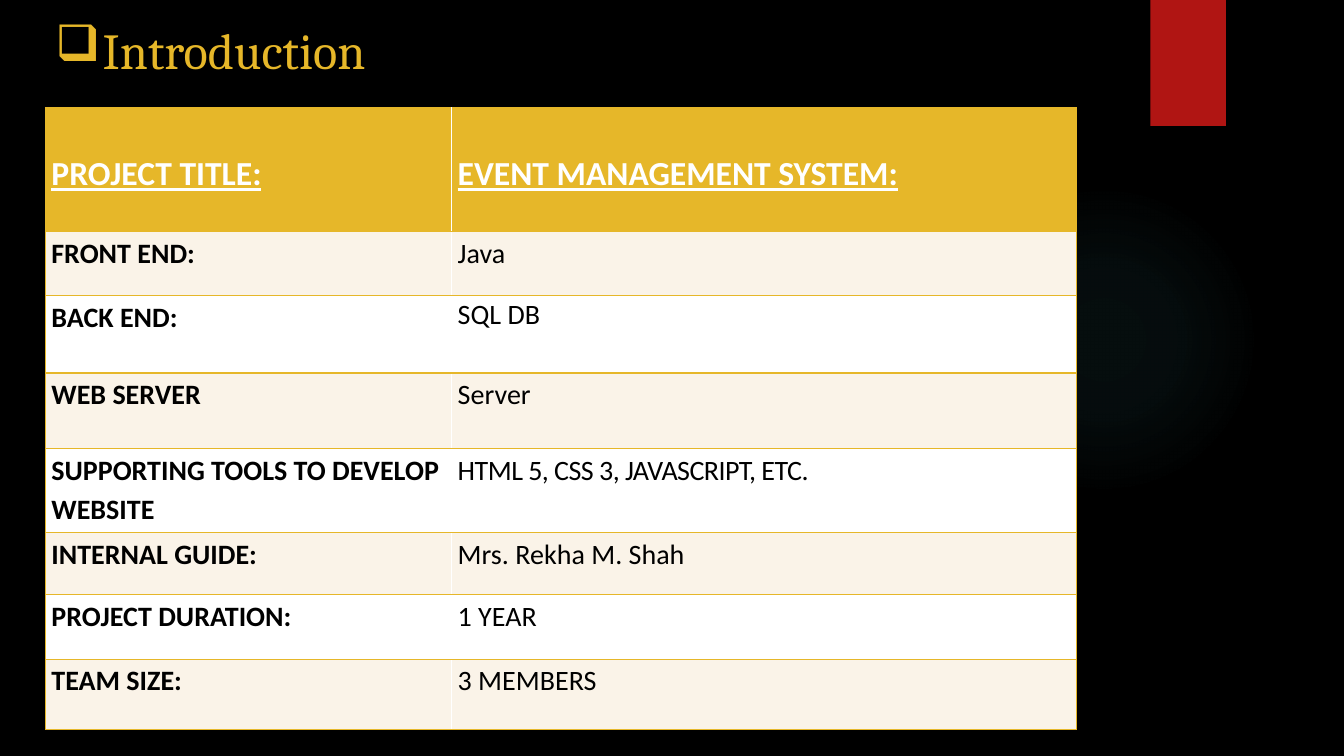
"""Build the introduction slide of an event management project."""
from dataclasses import dataclass

from lxml import etree
from pptx import Presentation
from pptx import util as u
from pptx.dml.color import RGBColor
from pptx.enum import shapes, text
from pptx.oxml import ns


@dataclass(frozen=True)
class Theme:
    """Colours, fonts and type sizes."""
    back: str = "000000"
    gold: str = "E6B729"
    red: str = "B01513"
    glow: str = "50B9C1"
    cream: str = "FAF3E8"
    white: str = "FFFFFF"
    ink: str = "000000"
    serif: str = "Cambria"
    sans: str = "Calibri"
    title: float = 36
    head: float = 24
    body: float = 20


@dataclass(frozen=True)
class Row:
    """One table row."""
    label: str
    value: str
    high: float
    space: float = 1.15
    track: float = 0


THEME = Theme()
ROWS = [
    Row("PROJECT TITLE:", "EVENT MANAGEMENT SYSTEM:", 1.23, 1.07),
    Row("FRONT END:", "Java", 0.63),
    Row("BACK END:", "SQL DB", 0.77, 1.07),
    Row("WEB SERVER", "Server", 0.75),
    Row("SUPPORTING TOOLS TO DEVELOP WEBSITE",
        "HTML 5, CSS 3, JAVASCRIPT, ETC.", 0.83, track=-0.4),
    Row("INTERNAL GUIDE:", "Mrs. Rekha M. Shah", 0.62),
    Row("PROJECT DURATION:", "1 YEAR", 0.64),
    Row("TEAM SIZE:", "3 MEMBERS", 0.7),
]
WIDTHS = (4.03, 6.2)


def add(node, tag: str, **attrs):
    """Append a DrawingML child to a node."""
    return etree.SubElement(node, ns.qn(f"a:{tag}"), attrs)


def box(values: tuple) -> list:
    """Turn numbers into inches."""
    return [u.Inches(val) for val in values]


def write(frame, words: str, *, size: float, color: str, font: str,
          bold: bool = False, under: bool = False, space: float = 1,
          after: float = 0, track: float = 0):
    """Write one formatted paragraph and return it."""
    para = frame.paragraphs[0]
    para.line_spacing = space
    para.space_after = u.Pt(after)
    run = para.add_run()
    run.text = words
    run.font.size = u.Pt(size)
    run.font.name = font
    run.font.bold = bold
    run.font.underline = under
    run.font.color.rgb = RGBColor.from_string(color)
    if track:
        run.font._element.set("spc", str(round(track * 100)))
    return para


def shape(slide, kind, place: tuple, color: str):
    """Draw a plain filled shape."""
    item = slide.shapes.add_shape(kind, *box(place))
    item.shadow.inherit = False
    item.line.fill.background()
    item.fill.solid()
    item.fill.fore_color.rgb = RGBColor.from_string(color)
    return item


def glow(slide) -> None:
    """Draw the faint round glow."""
    item = shape(slide, shapes.MSO_SHAPE.OVAL, (9.41, 1.83, 3.08, 3.08),
                 THEME.glow)
    solid = item._element.spPr.find(ns.qn("a:solidFill"))
    grad = etree.Element(ns.qn("a:gradFill"), rotWithShape="1")
    stops = add(grad, "gsLst")
    for pos, alpha in ((0, 7), (36, 6), (69, 0)):
        stop = add(stops, "gs", pos=str(pos * 1000))
        tint = add(stop, "srgbClr", val=THEME.glow)
        add(tint, "alpha", val=str(alpha * 1000))
    disc = add(grad, "path", path="circle")
    add(disc, "fillToRect", l="50000", t="50000", r="50000", b="50000")
    solid.getparent().replace(solid, grad)


def title(slide) -> None:
    """Write the bulleted title."""
    item = slide.shapes.add_textbox(*box((0.45, 0.08, 10.86, 0.82)))
    frame = item.text_frame
    frame.word_wrap = True
    frame.vertical_anchor = text.MSO_ANCHOR.MIDDLE
    para = write(frame, "Introduction", size=THEME.title,
                 color=THEME.gold, font=THEME.serif)
    props = para._p.get_or_add_pPr()
    props.set("marL", str(u.Inches(0.47)))
    props.set("indent", str(u.Inches(-0.47)))
    add(props, "buChar", char="\u2751")


def border(cell, sides: str) -> None:
    """Draw gold lines on the given cell sides."""
    props = cell._tc.get_or_add_tcPr()
    for spot, side in enumerate(sides):
        line = etree.Element(ns.qn(f"a:ln{side}"), w=str(u.Pt(1)))
        add(add(line, "solidFill"), "srgbClr", val=THEME.gold)
        props.insert(spot, line)


def table(slide) -> None:
    """Draw the table of project facts."""
    size = (0.45, 1.07, sum(WIDTHS), sum(row.high for row in ROWS))
    grid = slide.shapes.add_table(len(ROWS), len(WIDTHS), *box(size)).table
    for col, wide in zip(grid.columns, WIDTHS):
        col.width = u.Inches(wide)
    for num, row in enumerate(ROWS):
        grid.rows[num].height = u.Inches(row.high)
        head = num == 0
        fill = THEME.gold if head else (THEME.white, THEME.cream)[num % 2]
        for col, words in enumerate((row.label, row.value)):
            cell = grid.cell(num, col)
            cell.margin_left = cell.margin_right = u.Inches(0.06)
            cell.margin_top = u.Inches(0.43 if head else 0)
            cell.margin_bottom = 0
            cell.fill.solid()
            cell.fill.fore_color.rgb = RGBColor.from_string(fill)
            border(cell, ("LTB", "RTB")[col])
            write(cell.text_frame, words, font=THEME.sans,
                  size=THEME.head if head else THEME.body,
                  color=THEME.white if head else THEME.ink,
                  bold=head or col == 0, under=head,
                  space=row.space if head or col else 1.15,
                  after=0 if head else 10, track=row.track if col else 0)


def main() -> None:
    """Build and save the slide."""
    deck = Presentation()
    deck.slide_width, deck.slide_height = box((13.33, 7.5))
    slide = deck.slides.add_slide(deck.slide_layouts[6])
    back = slide.background.fill
    back.solid()
    back.fore_color.rgb = RGBColor.from_string(THEME.back)
    glow(slide)
    shape(slide, shapes.MSO_SHAPE.RECTANGLE, (11.41, 0, 0.75, 1.25),
          THEME.red)
    title(slide)
    table(slide)
    deck.save("out.pptx")


main()
